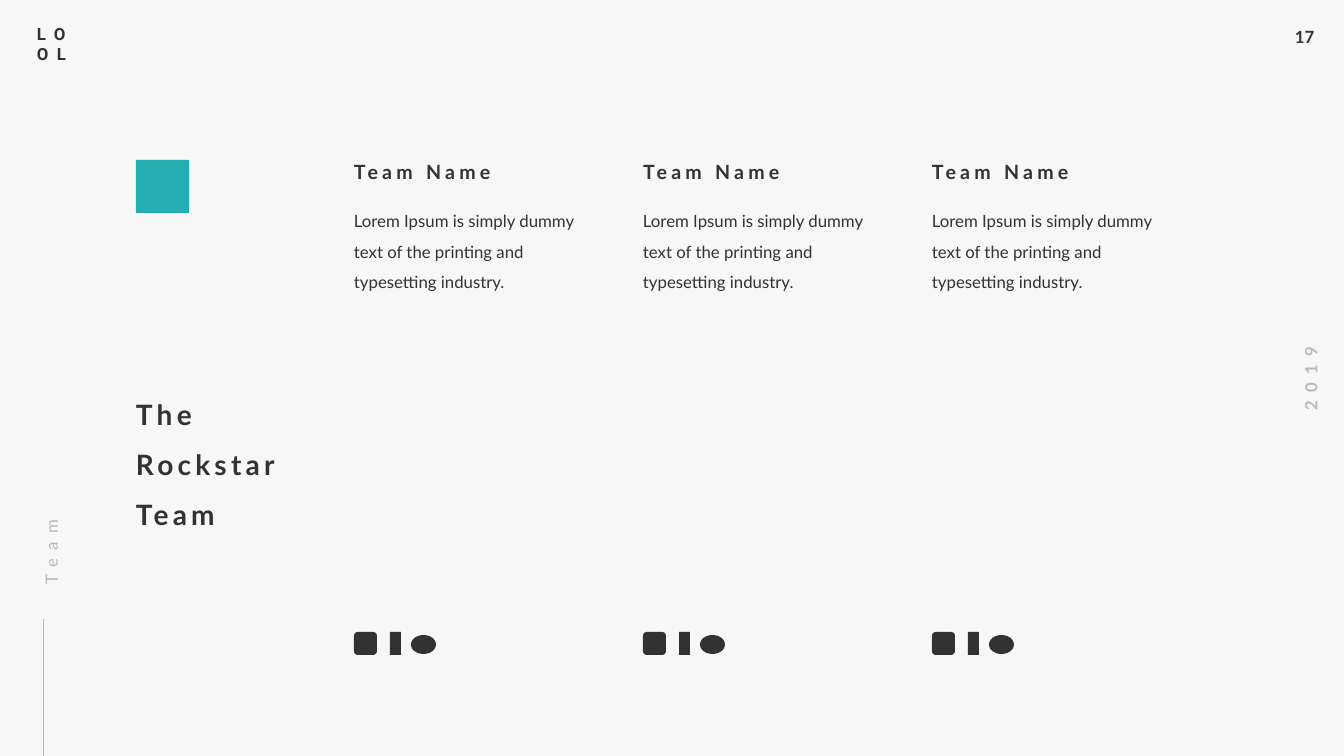
from dataclasses import dataclass

from lxml import etree
from pptx import Presentation
from pptx.dml.color import RGBColor
from pptx.enum.shapes import MSO_CONNECTOR, MSO_SHAPE
from pptx.enum.text import MSO_ANCHOR, MSO_AUTO_SIZE, PP_ALIGN
from pptx.oxml.ns import qn
from pptx.util import Pt

RECTANGLE, ROUNDED, OVAL = MSO_SHAPE.RECTANGLE, MSO_SHAPE.ROUNDED_RECTANGLE, MSO_SHAPE.OVAL
STRAIGHT = MSO_CONNECTOR.STRAIGHT
LEFT, CENTER = PP_ALIGN.LEFT, PP_ALIGN.CENTER

# Content
TITLE = ["The", "Rockstar", "Team"]
BRAND = ["LO", "OL"]
PAGE_NUMBER = ["17"]
YEAR = ["2019"]
SECTION = ["Team"]
BLURB = "Lorem Ipsum is simply dummy text of the printing and typesetting industry."
MEMBERS = [("Team Name", BLURB)] * 3
# Social markers: shape, offset from the column, top, width, height
MARKERS = [
    (ROUNDED, 0, 632, 23, 23),
    (RECTANGLE, 36, 632, 11, 23),
    (OVAL, 57, 635, 25, 19),
]

# Layout in px
PAGE_SIZE = (1344, 756)
COLUMN_LEFT, COLUMN_STEP = 354, 289
EMU_PER_PX = 12192000 / PAGE_SIZE[0]
NO_INSETS = (0, 0, 10, 0)
BOX_INSETS = (10, 5, 10, 5)


@dataclass(frozen=True)
class Theme:
    paper: RGBColor = RGBColor.from_string("F7F7F7")
    ink: RGBColor = RGBColor.from_string("323232")
    muted: RGBColor = RGBColor.from_string("B9B9B9")
    accent: RGBColor = RGBColor.from_string("25AEB1")
    font: str = "Lato"
    brand_font: str = "Roboto"
    title: int = 20
    heading: int = 14
    body: int = 12


THEME = Theme()


def px(length):
    return round(length * EMU_PER_PX)


def place(shape, bounds):
    shape.left, shape.top, shape.width, shape.height = map(px, bounds)


def write(box, lines, size=THEME.body, color=THEME.ink, font=THEME.font, bold=False,
          tracking=0, spacing=1.0, before=0, align=LEFT, insets=BOX_INSETS, wrap=True):
    """Fill a box with one paragraph per line; tracking and before are in points."""
    frame = box.text_frame
    frame.text = "\n".join(lines)
    frame.word_wrap = wrap
    frame.auto_size = MSO_AUTO_SIZE.NONE
    frame.vertical_anchor = MSO_ANCHOR.TOP
    (frame.margin_left, frame.margin_top,
     frame.margin_right, frame.margin_bottom) = map(px, insets)
    for para in frame.paragraphs:
        para.alignment = align
        para.line_spacing = spacing
        para.space_before = Pt(before)
        for span in para.runs:
            span.font.name = font
            span.font.size = Pt(size)
            span.font.bold = bold
            span.font.color.rgb = color
            span._r.get_or_add_rPr().set("spc", str(tracking * 100))


def add_text(page, bounds, lines, rotation=0, **text_format):
    box = page.shapes.add_textbox(*map(px, bounds))
    box.rotation = rotation
    write(box, lines, **text_format)


def add_block(page, kind, bounds, color):
    block = page.shapes.add_shape(kind, *map(px, bounds))
    block.shadow.inherit = False
    block.fill.solid()
    block.fill.fore_color.rgb = color
    block.line.fill.background()


def add_rule(page, start, end):
    rule = page.shapes.add_connector(STRAIGHT, *map(px, start + end))
    rule.line.color.rgb = THEME.muted
    rule.line.width = Pt(0.5)
    etree.SubElement(rule._element.spPr, qn("a:effectLst"))


def add_member(page, left, name, blurb):
    add_text(page, (left, 160, 213, 24), [name], size=THEME.heading, bold=True,
             tracking=3, before=12, insets=NO_INSETS)
    add_text(page, (left, 201, 237, 88), [blurb], spacing=1.5, before=12, insets=NO_INSETS)
    for kind, offset, top, width, height in MARKERS:
        add_block(page, kind, (left + offset, top, width, height), THEME.ink)


def main():
    deck = Presentation()
    deck.slide_width, deck.slide_height = map(px, PAGE_SIZE)
    page = deck.slides.add_slide(deck.slide_layouts[5])
    page.background.fill.solid()
    page.background.fill.fore_color.rgb = THEME.paper

    title = page.shapes.title
    place(title, (136, 397, 192, 136))
    write(title, TITLE, size=THEME.title, bold=True, tracking=3, before=12, insets=NO_INSETS)

    add_text(page, (27, 19, 60, 51), BRAND, font=THEME.brand_font, bold=True, tracking=6)
    add_text(page, (1285, 22, 41, 31), PAGE_NUMBER, bold=True, wrap=False)
    add_text(page, (1264, 363, 94, 31), YEAR, rotation=270, color=THEME.muted,
             bold=True, tracking=6, align=CENTER, wrap=False)
    add_text(page, (-49, 478, 186, 26), SECTION, rotation=270, color=THEME.muted,
             tracking=6, spacing=1.5, before=12, insets=NO_INSETS)
    add_rule(page, (43, 756), (43, 619))
    add_block(page, RECTANGLE, (136, 160, 53, 53), THEME.accent)

    for index, (name, blurb) in enumerate(MEMBERS):
        add_member(page, COLUMN_LEFT + index * COLUMN_STEP, name, blurb)

    deck.save("out.pptx")


if __name__ == "__main__":
    main()
